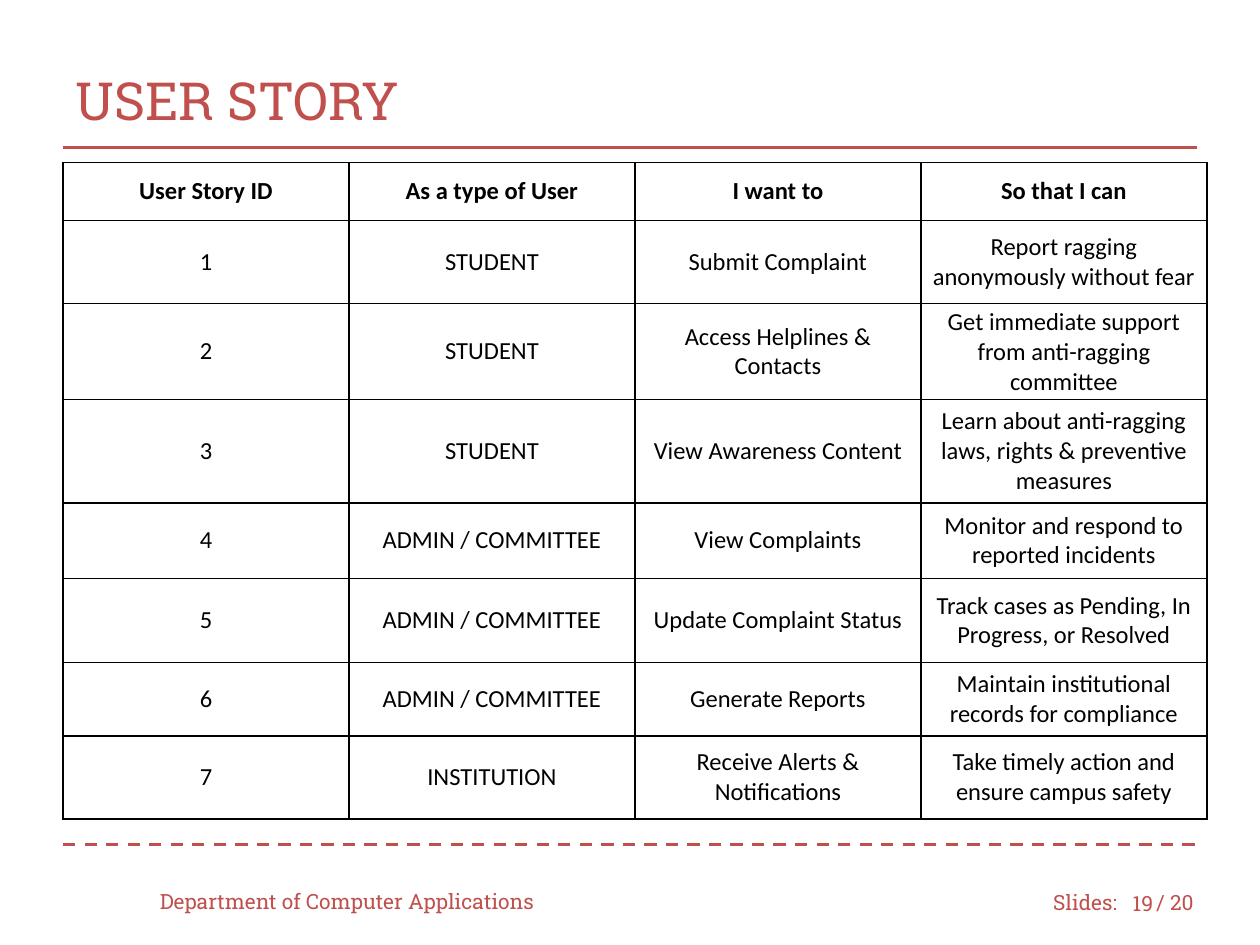
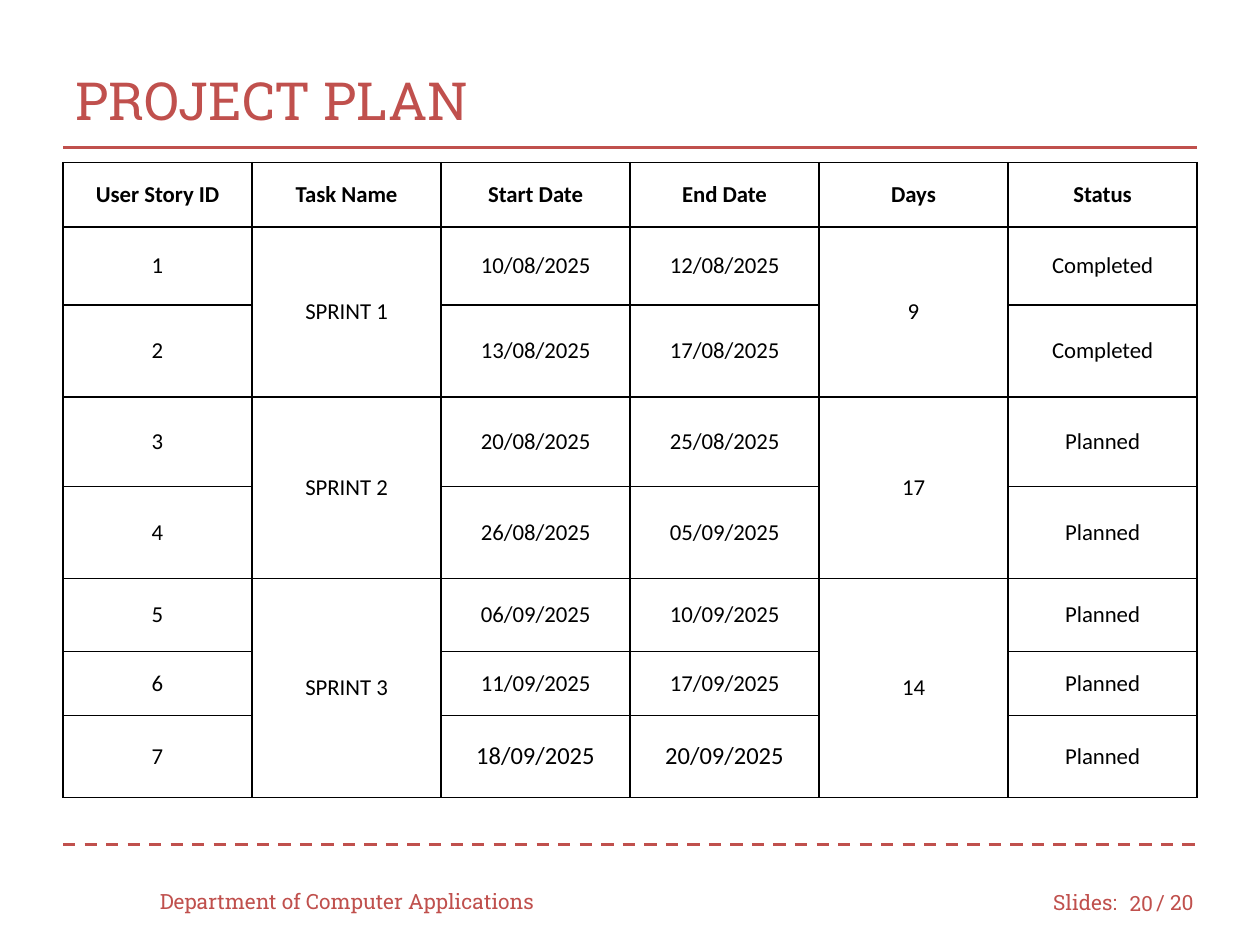
from lxml.etree import SubElement
from pptx import Presentation
from pptx.dml.color import RGBColor
from pptx.enum.dml import MSO_LINE
from pptx.enum.shapes import MSO_CONNECTOR
from pptx.enum.text import MSO_ANCHOR, PP_ALIGN
from pptx.oxml import parse_xml
from pptx.oxml.ns import nsdecls, qn
from pptx.util import Inches, Pt

RED = RGBColor(0xC0, 0x50, 0x4D)
BLACK = RGBColor(0, 0, 0)
HEADING_FONT = "Roboto Slab"
TABLE_FONT = "Calibri"
LEFT, RIGHT, TABLE_TOP = 0.5, 9.5, 1.29
SLIDE_TOTAL = 20

STORY_HEADER = ("User Story ID", "As a type of User", "I want to", "So that I can")
STORIES = [
    ("STUDENT", "Submit Complaint", "Report ragging anonymously without fear"),
    ("STUDENT", "Access Helplines & Contacts",
     "Get immediate support from anti-ragging committee"),
    ("STUDENT", "View Awareness Content",
     "Learn about anti-ragging laws, rights & preventive measures"),
    ("ADMIN / COMMITTEE", "View Complaints", "Monitor and respond to reported incidents"),
    ("ADMIN / COMMITTEE", "Update Complaint Status",
     "Track cases as Pending, In Progress, or Resolved"),
    ("ADMIN / COMMITTEE", "Generate Reports",
     "Maintain institutional records for compliance"),
    ("INSTITUTION", "Receive Alerts & Notifications",
     "Take timely action and ensure campus safety"),
]
STORY_HEIGHTS = (0.46, 0.66, 0.68, 0.82, 0.6, 0.67, 0.58, 0.66)

PLAN_HEADER = ("User Story ID", "Task Name", "Start Date", "End Date", "Days", "Status")
SPRINTS = [
    ("SPRINT 1", "9", "Completed",
     [("10/08/2025", "12/08/2025"), ("13/08/2025", "17/08/2025")]),
    ("SPRINT 2", "17", "Planned",
     [("20/08/2025", "25/08/2025"), ("26/08/2025", "05/09/2025")]),
    ("SPRINT 3", "14", "Planned",
     [("06/09/2025", "10/09/2025"), ("11/09/2025", "17/09/2025"),
      ("18/09/2025", "20/09/2025")]),
]
PLAN_HEIGHTS = (0.51, 0.62, 0.73, 0.71, 0.73, 0.58, 0.51, 0.65)
TASK_COLUMN, START_COLUMN, END_COLUMN, DAYS_COLUMN = 1, 2, 3, 4


def apply_format(target, values):
    """Set each named attribute on the target."""
    for name, value in values.items():
        setattr(target, name, value)


def write(frame, text, size, font, color, align=PP_ALIGN.LEFT, bold=False):
    """Put one formatted line of text into a text frame."""
    para = frame.paragraphs[0]
    para.alignment = align
    span = para.add_run()
    span.text = text
    apply_format(span.font, {"size": Pt(size), "name": font, "bold": bold})
    span.font.color.rgb = color


def add_label(page, text, left, top, width, height, size=12, align=PP_ALIGN.LEFT):
    """Add a red heading-font text box centred vertically."""
    box = page.shapes.add_textbox(*map(Inches, (left, top, width, height)))
    apply_format(box.text_frame,
                 {"word_wrap": True, "vertical_anchor": MSO_ANCHOR.MIDDLE})
    write(box.text_frame, text, size, HEADING_FONT, RED, align)


def add_rule(page, top, dash=None):
    """Draw a red horizontal rule between the margins."""
    rule = page.shapes.add_connector(
        MSO_CONNECTOR.STRAIGHT, Inches(LEFT), Inches(top), Inches(RIGHT), Inches(top))
    rule.line.color.rgb = RED
    apply_format(rule.line, {"width": Pt(1.75), "dash_style": dash})
    SubElement(rule._element.spPr, qn("a:effectLst"))


def add_page(deck, title, number):
    """Add a blank page with the shared title, rules and footer."""
    page = deck.slides.add_slide(deck.slide_layouts[6])
    add_label(page, "Slides:", 8.26, 6.96, 0.75, 0.4)
    add_label(page, f"/ {SLIDE_TOTAL}", 9.08, 6.96, 0.58, 0.4)
    add_rule(page, 6.7, MSO_LINE.DASH)
    add_rule(page, 1.17)
    add_label(page, title, LEFT, 0.33, RIGHT - LEFT, 0.92, size=30)
    add_label(page, "Department of Computer Applications", 1.17, 6.95, 3.33, 0.4)
    add_label(page, str(number), 8.83, 6.97, 0.42, 0.4, align=PP_ALIGN.RIGHT)
    return page


def add_borders(cell):
    """Give a cell thin black lines on all four sides."""
    properties = cell._tc.get_or_add_tcPr()
    for side in ("lnL", "lnR", "lnT", "lnB"):
        properties.append(parse_xml(
            f'<a:{side} {nsdecls("a")} w="{Pt(1)}"><a:solidFill>'
            f'<a:srgbClr val="{BLACK}"/></a:solidFill></a:{side}>'))


def add_grid(page, rows, column_width, heights, size, inset, larger=()):
    """Add a bordered table with a bold header and return it."""
    count = len(rows[0])
    grid = page.shapes.add_table(
        len(rows), count, Inches(LEFT), Inches(TABLE_TOP),
        Inches(column_width * count), Inches(sum(heights))).table
    apply_format(grid, {"first_row": False, "horz_banding": False})
    for column in grid.columns:
        column.width = Inches(column_width)
    for row_index, (values, height) in enumerate(zip(rows, heights)):
        grid.rows[row_index].height = Inches(height)
        for column_index, text in enumerate(values):
            cell = grid.cell(row_index, column_index)
            add_borders(cell)
            cell.fill.background()
            apply_format(cell, {
                "vertical_anchor": MSO_ANCHOR.MIDDLE,
                "margin_left": Inches(0.07), "margin_right": Inches(0.07),
                "margin_top": Inches(inset), "margin_bottom": Inches(inset)})
            if text:
                extra = (row_index, column_index) in larger
                write(cell.text_frame, text, size + extra, TABLE_FONT, BLACK,
                      PP_ALIGN.CENTER, bold=row_index == 0)
    return grid


def add_user_story(deck):
    """Build the user story page."""
    page = add_page(deck, "USER STORY", 19)
    rows = [STORY_HEADER]
    rows += [(str(number), *story) for number, story in enumerate(STORIES, 1)]
    add_grid(page, rows, 2.27, STORY_HEIGHTS, size=14, inset=0.03)


def add_project_plan(deck):
    """Build the project plan page with cells merged per sprint."""
    page = add_page(deck, "PROJECT PLAN", 20)
    rows, blocks = [PLAN_HEADER], []
    for name, days, status, periods in SPRINTS:
        first = len(rows)
        blocks.append((first, first + len(periods) - 1))
        for start, end in periods:
            is_first = len(rows) == first
            rows.append((str(len(rows)), name if is_first else "", start, end,
                         days if is_first else "", status))
    last = len(rows) - 1
    grid = add_grid(page, rows, 1.5, PLAN_HEIGHTS, size=13, inset=0.04,
                    larger={(last, START_COLUMN), (last, END_COLUMN)})
    for first, final in blocks:
        for column in (TASK_COLUMN, DAYS_COLUMN):
            grid.cell(first, column).merge(grid.cell(final, column))


def main():
    """Build and save the deck."""
    deck = Presentation()
    apply_format(deck, {"slide_width": Inches(10), "slide_height": Inches(7.5)})
    add_user_story(deck)
    add_project_plan(deck)
    deck.save("out.pptx")


if __name__ == "__main__":
    main()
